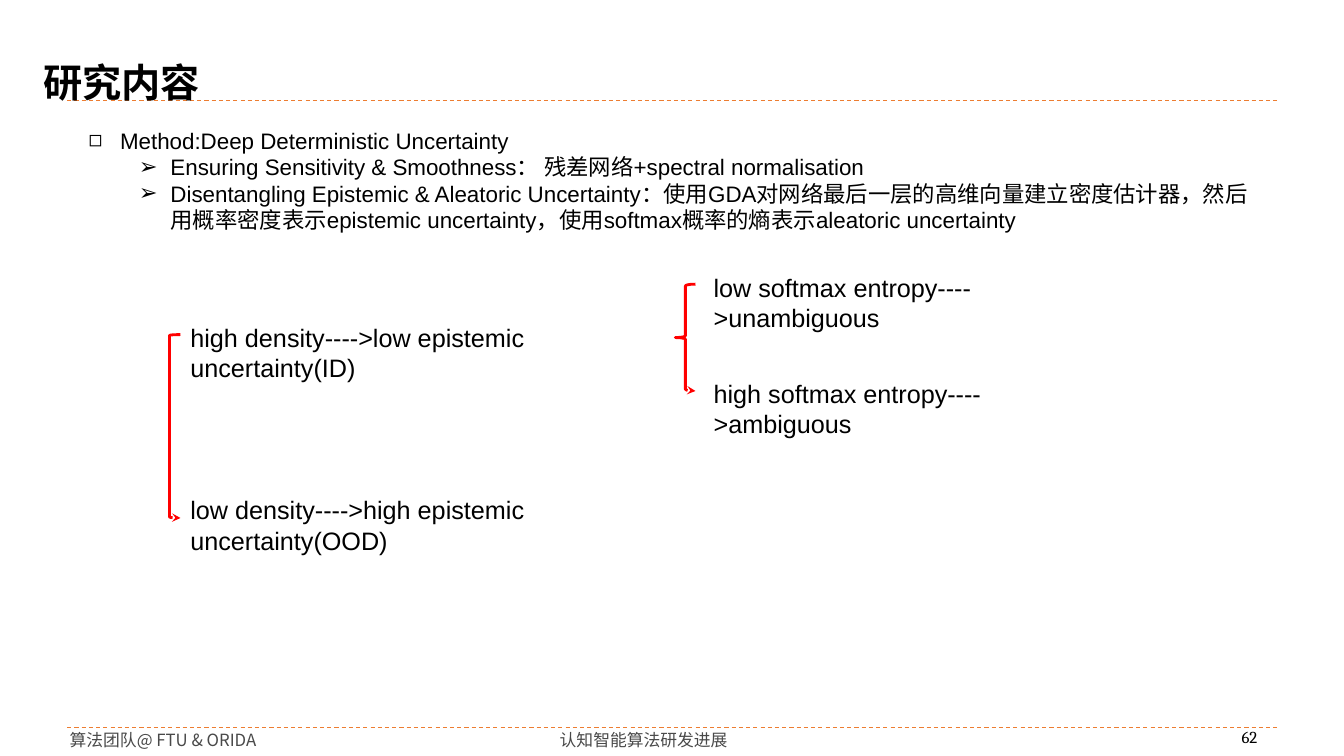
from dataclasses import dataclass

from lxml import etree
from pptx import Presentation
from pptx import util as u
from pptx.dml import color
from pptx.enum import dml, shapes, text
from pptx.oxml import ns

HUES = {"ink": "000000", "grey": "494949", "rule": "ED7D31", "mark": "FF0000"}
SANS, SERIF, HAN = "Arial", "Cambria", "Noto Sans CJK SC"
LEFT, MID = text.PP_ALIGN.LEFT, text.PP_ALIGN.CENTER
TOP, HALF = text.MSO_ANCHOR.TOP, text.MSO_ANCHOR.MIDDLE


@dataclass
class Line:
    words: str
    level: int = 0
    mark: str = ""
    indent: float = 0


@dataclass
class Box:
    at: tuple[float, float, float, float]
    lines: list[Line]
    size: float = 18
    font: str = SANS
    hue: str = "ink"
    bold: bool = False
    align: text.PP_ALIGN = LEFT
    anchor: text.MSO_ANCHOR = TOP
    inset: tuple[float, float] = (7.2, 3.6)
    wrap: bool = True
    pitch: float = 0


@dataclass
class Brace:
    kind: shapes.MSO_SHAPE
    at: tuple[float, float, float, float]


def tint(name: str) -> color.RGBColor:
    return color.RGBColor.from_string(HUES[name])


def add(parent, tag: str, **attrs: str):
    return etree.SubElement(parent, ns.qn(tag), attrs)


def points(at: tuple) -> list:
    return [u.Pt(n) for n in at]


def draw_rule(slide, y: float) -> None:
    rule = slide.shapes.add_connector(
        shapes.MSO_CONNECTOR.STRAIGHT, *points((48, y, 912, y)))
    rule.line.color.rgb = tint("rule")
    rule.line.width = u.Pt(0.75)
    rule.line.dash_style = dml.MSO_LINE.DASH
    add(rule._element.spPr, "a:effectLst")


def draw_box(slide, box: Box) -> None:
    frame = slide.shapes.add_textbox(*points(box.at)).text_frame
    frame.word_wrap = box.wrap
    frame.vertical_anchor = box.anchor
    frame.margin_left = frame.margin_right = u.Pt(box.inset[0])
    frame.margin_top = frame.margin_bottom = u.Pt(box.inset[1])
    for i, line in enumerate(box.lines):
        para = frame.add_paragraph() if i else frame.paragraphs[0]
        para.alignment = box.align
        para.level = line.level
        if box.pitch:
            para.line_spacing = u.Pt(box.pitch)
        if line.mark:
            props = para._p.get_or_add_pPr()
            props.set("marL", str(u.Pt(line.indent)))
            props.set("indent", str(u.Pt(-22.5)))
            add(props, "a:buFont", typeface=SANS)
            add(props, "a:buChar", char=line.mark)
        run = para.add_run()
        run.text = line.words
        run.font.size = u.Pt(box.size)
        run.font.name = box.font
        run.font.bold = box.bold
        run.font.color.rgb = tint(box.hue)
        add(run._r.get_or_add_rPr(), "a:ea", typeface=HAN)


def draw_brace(slide, brace: Brace) -> None:
    shape = slide.shapes.add_shape(brace.kind, *points(brace.at))
    shape.shadow.inherit = False
    shape.fill.background()
    shape.line.color.rgb = tint("mark")
    shape.line.width = u.Pt(2)
    add(shape.line._get_or_add_ln(), "a:headEnd", type="stealth")


BOXES = [
    Box((875.5, 519, 34, 14.4), [Line("62")], 12, SERIF,
        align=MID, anchor=HALF, inset=(0, 0)),
    Box((239.8, 521.3, 440, 14.4), [Line("认知智能算法研发进展")], 12, HAN,
        "grey", align=MID, anchor=HALF, inset=(0, 0)),
    Box((49.7, 521.3, 144.7, 14.4), [Line("算法团队@ FTU & ORIDA")], 12, HAN,
        "grey", anchor=HALF, inset=(0, 0), wrap=False),
    Box((23.8, 38.2, 126.7, 41), [Line("研究内容")], 28, HAN,
        bold=True, anchor=HALF, wrap=False),
    Box((56.2, 87.1, 856, 104.4), [
        Line("Method:Deep Deterministic Uncertainty", 0, "◻", 22.5),
        Line("Ensuring Sensitivity & Smoothness： 残差网络+spectral normalisation",
             1, "➢", 58.5),
        Line("Disentangling Epistemic & Aleatoric Uncertainty：使用GDA对网络最后一层的"
             "高维向量建立密度估计器，然后用概率密度表示epistemic uncertainty，"
             "使用softmax概率的熵表示aleatoric uncertainty", 1, "➢", 58.5),
    ], 16, pitch=19),
    Box((128.9, 226.8, 354.2, 28.8),
        [Line("high density---->low epistemic uncertainty(ID)")]),
    Box((128.9, 349.9, 374.4, 28.8),
        [Line("low density---->high epistemic uncertainty(OOD)")]),
    Box((502.6, 190.8, 294.5, 28.8),
        [Line("low softmax entropy---->unambiguous")]),
    Box((502.6, 266.4, 281.5, 28.8),
        [Line("high softmax entropy---->ambiguous")]),
]
BRACES = [
    Brace(shapes.MSO_SHAPE.LEFT_BRACKET, (121, 239, 7.9, 131)),
    Brace(shapes.MSO_SHAPE.LEFT_BRACE, (482.4, 203, 14.4, 76.3)),
]


def main() -> None:
    deck = Presentation()
    deck.slide_width, deck.slide_height = u.Pt(960), u.Pt(540)
    slide = deck.slides.add_slide(deck.slide_layouts[6])
    for y in (520, 72):
        draw_rule(slide, y)
    for box in BOXES:
        draw_box(slide, box)
    for brace in BRACES:
        draw_brace(slide, brace)
    deck.save("out.pptx")


if __name__ == "__main__":
    main()
